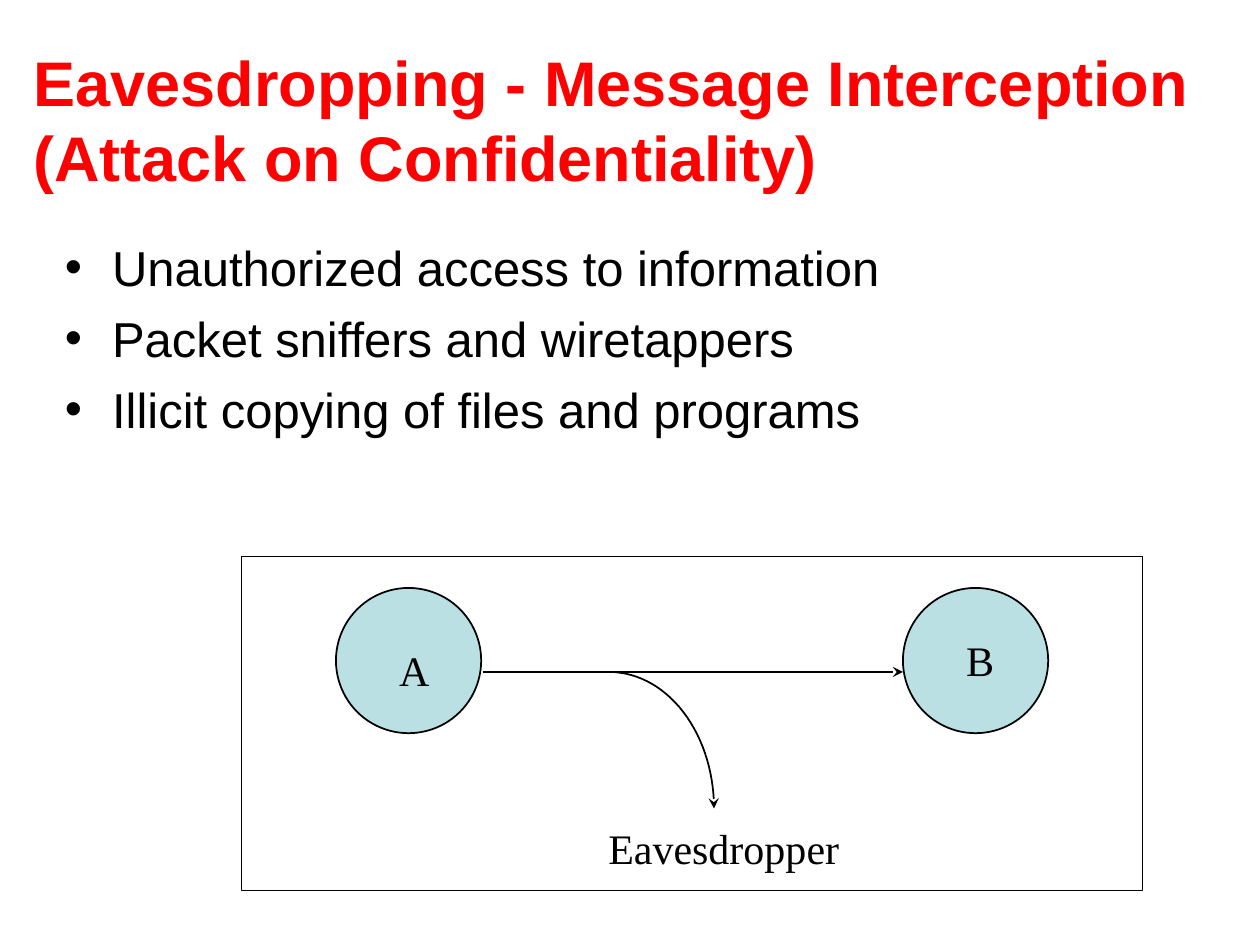
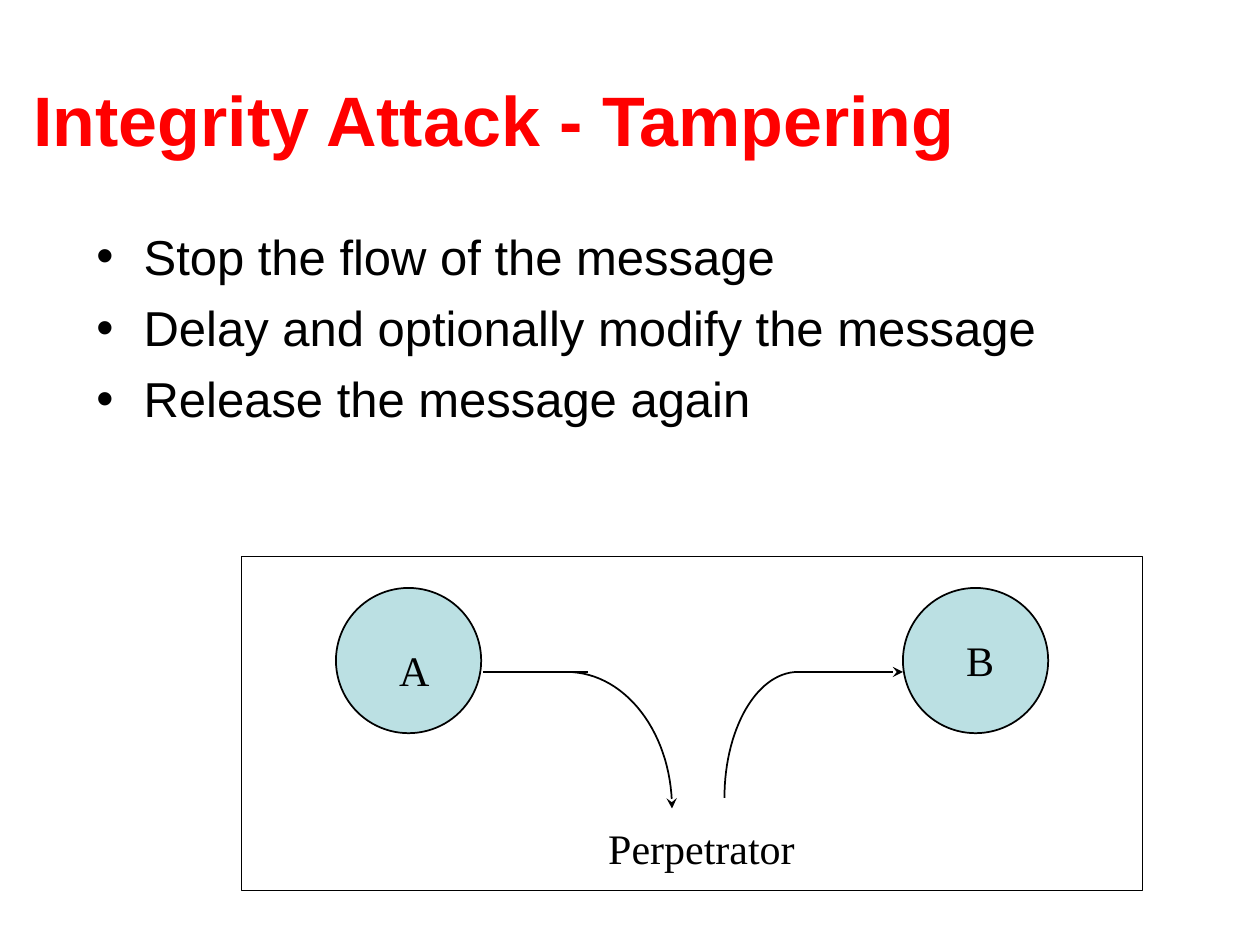
import math
import pptx
import pptx.util
import pptx.dml.color
import pptx.enum.shapes
import pptx.enum.text
import pptx.oxml.ns
import pptx.oxml.xmlchemy

Pt = pptx.util.Pt
Kind = pptx.enum.shapes.MSO_SHAPE
Anchor = pptx.enum.text.MSO_ANCHOR
Align = pptx.enum.text.PP_ALIGN
Fit = pptx.enum.text.MSO_AUTO_SIZE

HUES = {"title": "FF0000", "ink": "000000", "node": "BBE0E3", "paper": "FFFFFF"}
SANS, SERIF = "Arial", "Times New Roman"
WIRE = 384
NODE = 83
LEFT, RIGHT = 192, 516


def hue(name):
    return pptx.dml.color.RGBColor.from_string(HUES[name])


def tag(parent, name, **attrs):
    item = pptx.oxml.xmlchemy.OxmlElement(name)
    for key, value in attrs.items():
        item.set(key, value)
    parent.append(item)


class Deck:
    def __init__(self):
        self.prs = pptx.Presentation()
        self.prs.slide_width, self.prs.slide_height = Pt(720), Pt(540)
        self.slide = None

    def start(self, title, size):
        self.slide = self.prs.slides.add_slide(self.prs.slide_layouts[5])
        shape = self.slide.shapes.title
        shape.left, shape.top, shape.width, shape.height = Pt(12), Pt(23), Pt(690), Pt(90)
        frame = shape.text_frame
        frame.text = title
        frame.auto_size = Fit.NONE
        frame.vertical_anchor = Anchor.MIDDLE
        frame.paragraphs[0].alignment = Align.LEFT
        self.font(frame.paragraphs[0], SANS, size, "title", True)

    def font(self, para, name, size, color="ink", bold=False):
        font = para.font
        font.name, font.size, font.bold = name, Pt(size), bold
        font.color.rgb = hue(color)

    def text(self, words, x, y, w, h, wrap=False):
        box = self.slide.shapes.add_textbox(Pt(x), Pt(y), Pt(w), Pt(h))
        box.text_frame.word_wrap = wrap
        box.text_frame.text = words
        return box.text_frame

    def label(self, words, x, y, w):
        frame = self.text(words, x, y, w, 36)
        self.font(frame.paragraphs[0], SERIF, 24)

    def list(self, items, x, y, w, h):
        frame = self.text("\n".join(items), x, y, w, h, True)
        for para in frame.paragraphs:
            self.font(para, SANS, 28)
            para.space_before = Pt(7)
            props = para._p.get_or_add_pPr()
            props.set("marL", str(Pt(27)))
            props.set("indent", str(Pt(-27)))
            tag(props, "a:buFont", typeface=SANS)
            tag(props, "a:buChar", char="•")

    def stroke(self, shape, arrow=False):
        shape.line.color.rgb = hue("ink")
        shape.line.width = Pt(1)
        if arrow:
            line = shape._element.spPr.find(pptx.oxml.ns.qn("a:ln"))
            tag(line, "a:tailEnd", type="stealth")

    def shape(self, kind, x, y, w, h, fill):
        shape = self.slide.shapes.add_shape(kind, Pt(x), Pt(y), Pt(w), Pt(h))
        shape.shadow.inherit = False
        shape.fill.solid()
        shape.fill.fore_color.rgb = hue(fill)
        self.stroke(shape)

    def wire(self, start, end, arrow=False):
        line = self.slide.shapes.add_connector(
            pptx.enum.shapes.MSO_CONNECTOR.STRAIGHT, Pt(start), Pt(WIRE), Pt(end), Pt(WIRE))
        self.stroke(line, arrow)
        tag(line._element.spPr, "a:effectLst")

    def arc(self, x, y, w, h, angle, arrow=False):
        turns = [math.radians(angle - 3 * step) for step in range(31)]
        dots = [(Pt(x + w * math.cos(t)), Pt(y - h * math.sin(t))) for t in turns]
        pen = self.slide.shapes.build_freeform(*dots[0])
        pen.add_line_segments(dots[1:], close=False)
        curve = pen.convert_to_shape()
        curve.shadow.inherit = False
        curve.fill.background()
        self.stroke(curve, arrow)

    def scene(self, party):
        self.shape(Kind.RECTANGLE, 138, 318, 515, 191, "paper")
        for x in (LEFT, RIGHT):
            self.shape(Kind.OVAL, x, 336, NODE, NODE, "node")
        self.label("A", 221, 365, 32)
        self.label("B", 545, 359, 30)
        self.label(party, 340.5, 466.5, 12.2 * len(party))


def main():
    deck = Deck()
    edge = LEFT + NODE + 1

    deck.start("Eavesdropping - Message Interception (Attack on Confidentiality)", 36)
    deck.list(["Unauthorized access to information",
               "Packet sniffers and wiretappers",
               "Illicit copying of files and programs"], 30, 132, 654, 150)
    deck.scene("Eavesdropper")
    deck.wire(edge, RIGHT, True)
    deck.arc(348, 462, 60, 78, 90, True)

    deck.start("Integrity Attack - Tampering", 40)
    deck.list(["Stop the flow of the message",
               "Delay and optionally modify the message",
               "Release the message again"], 48, 126, 636, 144)
    deck.scene("Perpetrator")
    deck.wire(edge, edge + 60)
    deck.arc(324, 462, 60, 78, 90, True)
    deck.arc(456, 456, 42, 72, 180)
    deck.wire(RIGHT - 60, RIGHT, True)

    deck.prs.save("out.pptx")


if __name__ == "__main__":
    main()
